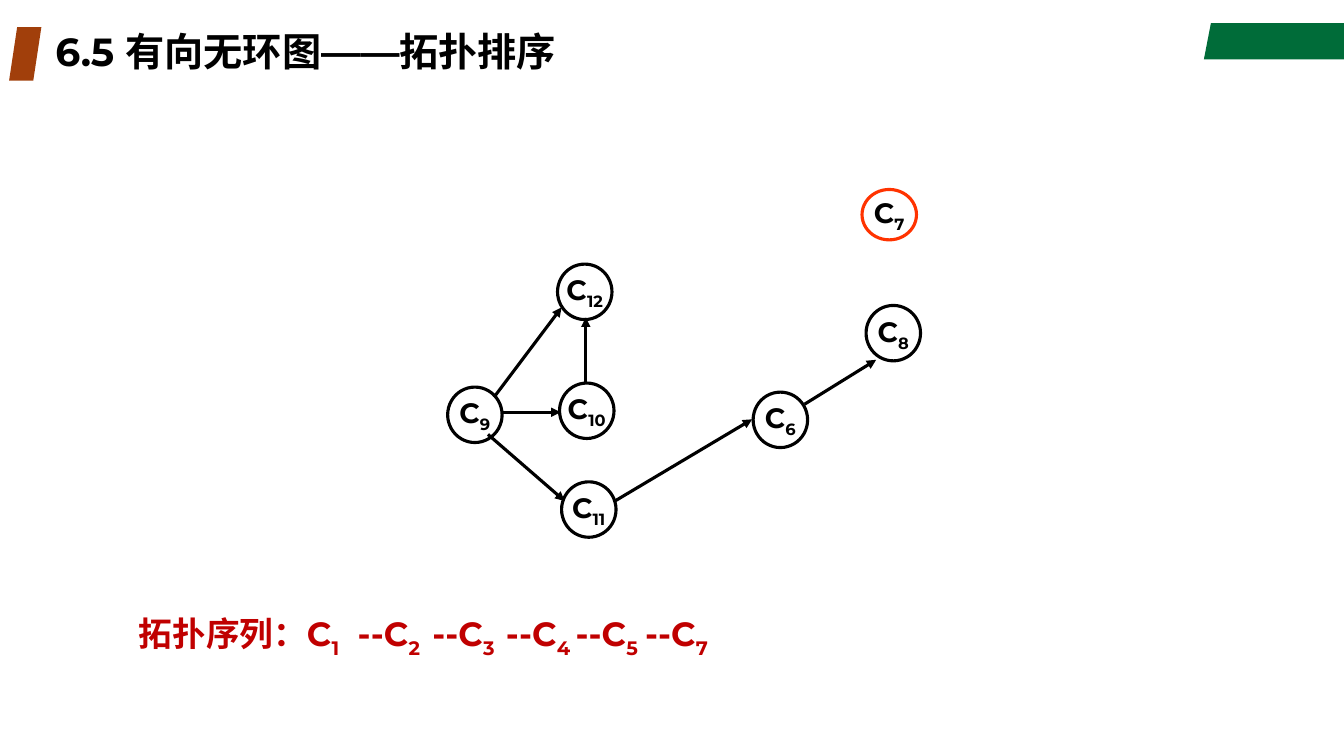
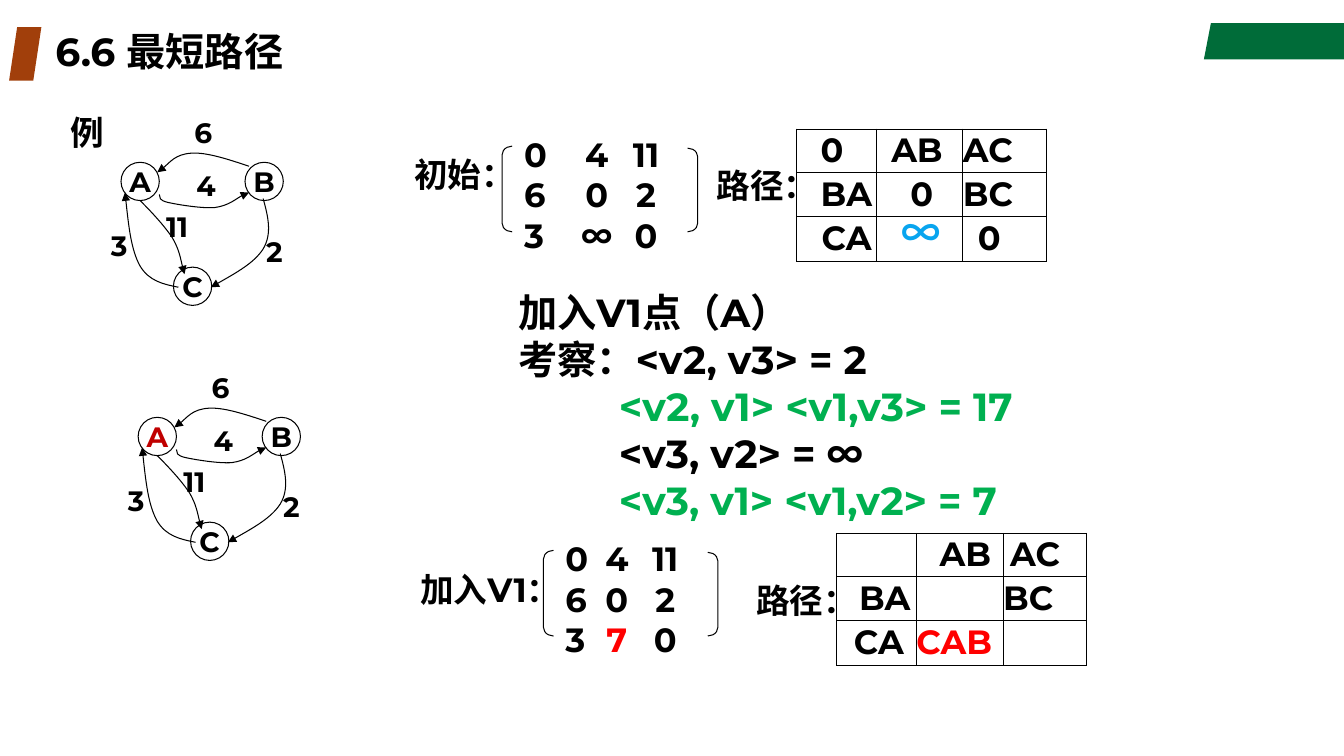
from typing import NamedTuple

from lxml import etree
from pptx import Presentation
from pptx.dml.color import RGBColor
from pptx.enum.shapes import MSO_CONNECTOR, MSO_SHAPE, PP_PLACEHOLDER
from pptx.enum.text import MSO_ANCHOR, PP_ALIGN
from pptx.oxml.ns import qn
from pptx.util import Pt

PX = 9144  # EMU in one px, 100 px to the inch
FONT = "Montserrat"
CJK_FONT = "Noto Sans CJK SC"

BLACK = RGBColor(0x00, 0x00, 0x00)
BAND_GREEN = RGBColor(0x00, 0x6C, 0x39)
BROWN = RGBColor(0xA1, 0x3F, 0x0B)
DARK_RED = RGBColor(0xC0, 0x00, 0x00)
ORANGE_RED = RGBColor(0xFF, 0x33, 0x00)
RED = RGBColor(0xFF, 0x00, 0x00)
GREEN = RGBColor(0x00, 0xB0, 0x50)
BLUE = RGBColor(0x08, 0xA5, 0xEF)

ELLIPSE, PARALLELOGRAM = MSO_SHAPE.OVAL, MSO_SHAPE.PARALLELOGRAM
LEFT_BRACKET, RIGHT_BRACKET = MSO_SHAPE.LEFT_BRACKET, MSO_SHAPE.RIGHT_BRACKET
STRAIGHT = MSO_CONNECTOR.STRAIGHT
LEFT, CENTER = PP_ALIGN.LEFT, PP_ALIGN.CENTER
MIDDLE = MSO_ANCHOR.MIDDLE


class Run(NamedTuple):
    text: str
    color: RGBColor = BLACK
    sub: bool = False
    size: int = 0
    font: str = FONT


class Node(NamedTuple):
    x: int
    y: int
    label: str
    height: int = 55
    color: RGBColor = BLACK


class Label(NamedTuple):
    x: int
    y: int
    text: str
    width: int = 39


class Cell(NamedTuple):
    run: Run = Run("")
    inset: int = 0


class Panel(NamedTuple):
    top: int
    label: str
    label_x: int
    label_w: int
    label_dy: int
    wrap: bool
    matrix_x: int
    tabs: list[int]
    rows: list[list[Run]]
    right_x: int
    path_x: int
    grid_x: int
    cells: list[list[Cell]]


def px(*values: int) -> list[int]:
    return [v * PX for v in values]


def write(p, runs: list[Run], size: int, *, align=LEFT, spacing=None,
          tabs: list[int] = (), tab_align: str = "l", indent: int = 0) -> None:
    pPr = p._p.get_or_add_pPr()
    if indent:
        pPr.set("marL", str(indent * PX))
    if tabs:
        tab_list = etree.SubElement(pPr, qn("a:tabLst"))
        for tab in tabs:
            etree.SubElement(tab_list, qn("a:tab"), pos=str(tab * PX), algn=tab_align)
    p.alignment = align
    if spacing:
        p.line_spacing = spacing
    for run in runs:
        r = p.add_run()
        r.text = run.text
        font = r.font
        font.size, font.bold, font.name = Pt(run.size or size), True, run.font
        font.color.rgb = run.color
        rPr = r._r.get_or_add_rPr()
        etree.SubElement(rPr, qn("a:ea"), typeface=run.font)
        if run.sub:
            rPr.set("baseline", "-25000")


def add_text(slide, box: tuple, lines: list[list[Run]], size: int, *,
             wrap: bool = True, **fmt):
    tf = slide.shapes.add_textbox(*px(*box)).text_frame
    tf.word_wrap = wrap
    for i, runs in enumerate(lines):
        write(tf.add_paragraph() if i else tf.paragraphs[0], runs, size, **fmt)
    return tf


def style(sp, *, fill=None, line=None, width: float = 0.75) -> None:
    sp.shadow.inherit = False
    if fill is None:
        sp.fill.background()
    else:
        sp.fill.solid()
        sp.fill.fore_color.rgb = fill
    if line is None:
        sp.line.fill.background()
    else:
        sp.line.color.rgb, sp.line.width = line, Pt(width)


def add_shape(slide, kind, box: tuple, *, adj: float | None = None, **fmt):
    sp = slide.shapes.add_shape(kind, *px(*box))
    if adj is not None:
        sp.adjustments[0] = adj
    style(sp, **fmt)
    return sp


def add_node(slide, box: tuple, runs: list[Run], *, line=BLACK, width=0.75) -> None:
    tf = add_shape(slide, ELLIPSE, box, line=line, width=width).text_frame
    tf.word_wrap, tf.vertical_anchor = False, MIDDLE
    write(tf.paragraphs[0], runs, 20, align=CENTER)


def add_arrowhead(sp) -> None:
    etree.SubElement(sp.element.spPr.find(qn("a:ln")), qn("a:tailEnd"), type="triangle")


def add_arrow(slide, ends: tuple) -> None:
    cx = slide.shapes.add_connector(STRAIGHT, *px(*ends))
    cx.line.color.rgb, cx.line.width = BLACK, Pt(2.25)
    add_arrowhead(cx)
    etree.SubElement(cx.element.spPr, qn("a:effectLst"))


def add_outline(slide, points: list[tuple], *, close: bool, **fmt):
    builder = slide.shapes.build_freeform(*points[0], scale=PX)
    builder.add_line_segments(points[1:], close=close)
    sp = builder.convert_to_shape()
    style(sp, **fmt)
    return sp


def add_curve(slide, points: list[tuple]) -> None:
    """Draw a start point followed by cubic triples, ending in an arrowhead."""
    sp = add_outline(slide, points, close=False, line=BLACK)
    path = next(sp.element.iter(qn("a:path")))
    segments = path.findall(qn("a:lnTo"))
    for i in range(0, len(segments), 3):
        curve = etree.SubElement(path, qn("a:cubicBezTo"))
        for segment in segments[i:i + 3]:
            curve.append(segment[0])
            path.remove(segment)
    add_arrowhead(sp)


def add_grid(slide, x: int, y: int, cells: list[list[Cell]]) -> None:
    widths, heights = (79, 86, 83), (43, 44, 44)
    table = slide.shapes.add_table(3, 3, *px(x, y, sum(widths), sum(heights))).table
    table.first_row = table.horz_banding = False
    for i in range(3):
        table.columns[i].width, table.rows[i].height = px(widths[i], heights[i])
    for i, row in enumerate(cells):
        for j, item in enumerate(row):
            cell = table.cell(i, j)
            cell.margin_left = item.inset * PX
            cell.margin_right = cell.margin_top = cell.margin_bottom = 0
            cell.vertical_anchor = MIDDLE
            tcPr = cell._tc.get_or_add_tcPr()
            for side in ("lnL", "lnR", "lnT", "lnB"):
                ln = etree.SubElement(tcPr, qn(f"a:{side}"), w=str(Pt(0.75)))
                fill = etree.SubElement(ln, qn("a:solidFill"))
                etree.SubElement(fill, qn("a:srgbClr"), val=str(BLACK))
            cell.fill.background()
            write(cell.text_frame.paragraphs[0], [item.run] if item.run.text else [],
                  24, spacing=Pt(29))


def prepare_layout(layout) -> None:
    """Keep only the title placeholder and put it in its place."""
    for ph in list(layout.placeholders):
        if ph.placeholder_format.type == PP_PLACEHOLDER.TITLE:
            ph.left, ph.top, ph.width, ph.height = px(45, 27, 945, 53)
        else:
            layout.shapes.element.remove(ph.element)


def decorate_layout(layout, slide) -> None:
    """Draw the band and the title mark, then move them to the layout."""
    band = add_outline(slide, [(1201, 23), (1333, 23), (1333, 59), (1194, 59)],
                       close=True, fill=BAND_GREEN)
    mark = add_shape(slide, PARALLELOGRAM, (9, 27, 32, 53), adj=0.25, fill=BROWN)
    for sp in (mark, band):
        layout.shapes.element.insert(2, sp.element)


def add_slide(prs, layout, title: str):
    slide = prs.slides.add_slide(layout)
    tf = slide.shapes.title.text_frame
    tf.vertical_anchor = MIDDLE
    write(tf.paragraphs[0], [Run(title)], 28, spacing=0.9)
    return slide


NODES = [
    Node(747, 389, "6"), Node(855, 188, "7", 50, ORANGE_RED), Node(859, 303, "8"),
    Node(444, 384, "9"), Node(555, 380, "10"), Node(557, 478, "11"), Node(553, 262, "12"),
]
ARROWS = [
    (490, 394, 557, 305), (498, 409, 556, 409), (581, 381, 581, 315),
    (484, 431, 560, 497), (610, 497, 746, 416), (798, 401, 869, 357),
]


def fill_sorting(slide) -> None:
    for node in NODES:
        add_node(slide, (node.x, node.y, 54, node.height),
                 [Run("C"), Run(node.label, sub=True)], line=node.color, width=2.25)
    for ends in ARROWS:
        add_arrow(slide, ends)
    runs = [Run("拓扑序列：C", DARK_RED), Run("1", DARK_RED, sub=True)]
    for number in "23457":
        runs += [Run("\t--C", DARK_RED), Run(number, DARK_RED, sub=True)]
    add_text(slide, (128, 599, 590, 52), [runs], 24, spacing=1.1,
             tabs=[217, 291, 364, 433, 502])


VERTICES = [Label(120, 161, "A"), Label(172, 265, "C"), Label(243, 161, "B")]
CURVES = [
    [(158, 193), (158, 196), (158, 199), (167, 201), (176, 203), (200, 207), (213, 206),
     (227, 204), (241, 192), (247, 191)],
    [(247, 165), (226, 158), (205, 151), (190, 152), (174, 153), (162, 168), (156, 171)],
    [(139, 199), (151, 211), (163, 224), (171, 236), (178, 248), (181, 266), (183, 272)],
    [(177, 285), (162, 282), (148, 279), (139, 264), (130, 248), (127, 219), (124, 191)],
    [(261, 197), (266, 215), (270, 232), (261, 247), (252, 261), (230, 273), (209, 285)],
]
WEIGHTS = [
    Label(254, 228, "2"), Label(183, 110, "6"), Label(185, 162, "4"),
    Label(100, 222, "3"), Label(155, 203, "11", 58),
]


def add_graph(slide, dx: int, dy: int, a_color: RGBColor) -> None:
    for v in VERTICES:
        color = a_color if v.text == "A" else BLACK
        add_node(slide, (v.x + dx, v.y + dy, 38, 38), [Run(v.text, color)])
    for points in CURVES:
        add_curve(slide, [(x + dx, y + dy) for x, y in points])
    for w in WEIGHTS:
        add_text(slide, (w.x + dx, w.y + dy, w.width, 44), [[Run(w.text)]], 20, wrap=False)


PANELS = [
    Panel(128, "初始：", 401, 121, 20, False, 510, [72, 121],
          [[Run("0\t4\t11")], [Run("6\t0\t2")], [Run("3\t∞\t0")]], 682, 701, 790,
          [[Cell(Run("0"), 24), Cell(Run("AB"), 15), Cell(Run("AC"))],
           [Cell(Run("BA"), 24), Cell(Run("0"), 34), Cell(Run("BC"))],
           [Cell(Run("CA"), 25), Cell(Run("∞", BLUE, size=28, font=CJK_FONT), 25),
            Cell(Run("0"), 15)]]),
    Panel(529, "加入V1：", 407, 164, 30, True, 551, [51, 99],
          [[Run("0\t4\t11")], [Run("6\t0\t2")],
           [Run("3\t"), Run("7", RED), Run("\t0")]], 702, 740, 830,
          [[Cell(), Cell(Run("AB"), 23), Cell(Run("AC"), 7)],
           [Cell(Run("BA"), 22), Cell(), Cell(Run("BC"))],
           [Cell(Run("CA"), 17), Cell(Run("CAB", RED)), Cell()]]),
]


def add_panel(slide, panel: Panel) -> None:
    top, label_y = panel.top, panel.top + panel.label_dy
    add_text(slide, (panel.matrix_x, top, 177, 131), panel.rows, 24,
             tabs=panel.tabs, tab_align="ctr")
    add_shape(slide, LEFT_BRACKET, (panel.matrix_x - 12, top + 17, 10, 85),
              adj=0.87, line=BLACK)
    add_shape(slide, RIGHT_BRACKET, (panel.right_x, top + 19, 10, 83),
              adj=0.85, line=BLACK)
    add_text(slide, (panel.label_x, label_y, panel.label_w, 50), [[Run(panel.label)]],
             24, wrap=panel.wrap)
    add_text(slide, (panel.path_x, label_y + 11, 121, 50), [[Run("路径：")]], 24, wrap=False)
    add_grid(slide, panel.grid_x, top, panel.cells)


def fill_shortest_path(slide) -> None:
    add_text(slide, (60, 106, 54, 51), [[Run("例")]], 24, wrap=False)
    add_graph(slide, 0, 0, BLACK)
    add_graph(slide, 17, 253, DARK_RED)
    for panel in PANELS:
        add_panel(slide, panel)
    tf = add_text(slide, (504, 281, 714, 246),
                  [[Run("加入V1点（A）")], [Run("考察：<v2, v3> = 2")]], 28)
    for run in (Run("<v2, v1> <v1,v3> = 17", GREEN), Run("<v3, v2> = ∞"),
                Run("<v3, v1> <v1,v2> = 7", GREEN)):
        write(tf.add_paragraph(), [run], 28, indent=100)


def main() -> None:
    prs = Presentation()
    prs.slide_width, prs.slide_height = px(1333, 750)
    layout = prs.slide_layouts.get_by_name("Title Only")
    prepare_layout(layout)
    sorting = add_slide(prs, layout, "6.5 有向无环图——拓扑排序")
    decorate_layout(layout, sorting)
    fill_sorting(sorting)
    fill_shortest_path(add_slide(prs, layout, "6.6 最短路径"))
    prs.save("out.pptx")


if __name__ == "__main__":
    main()
